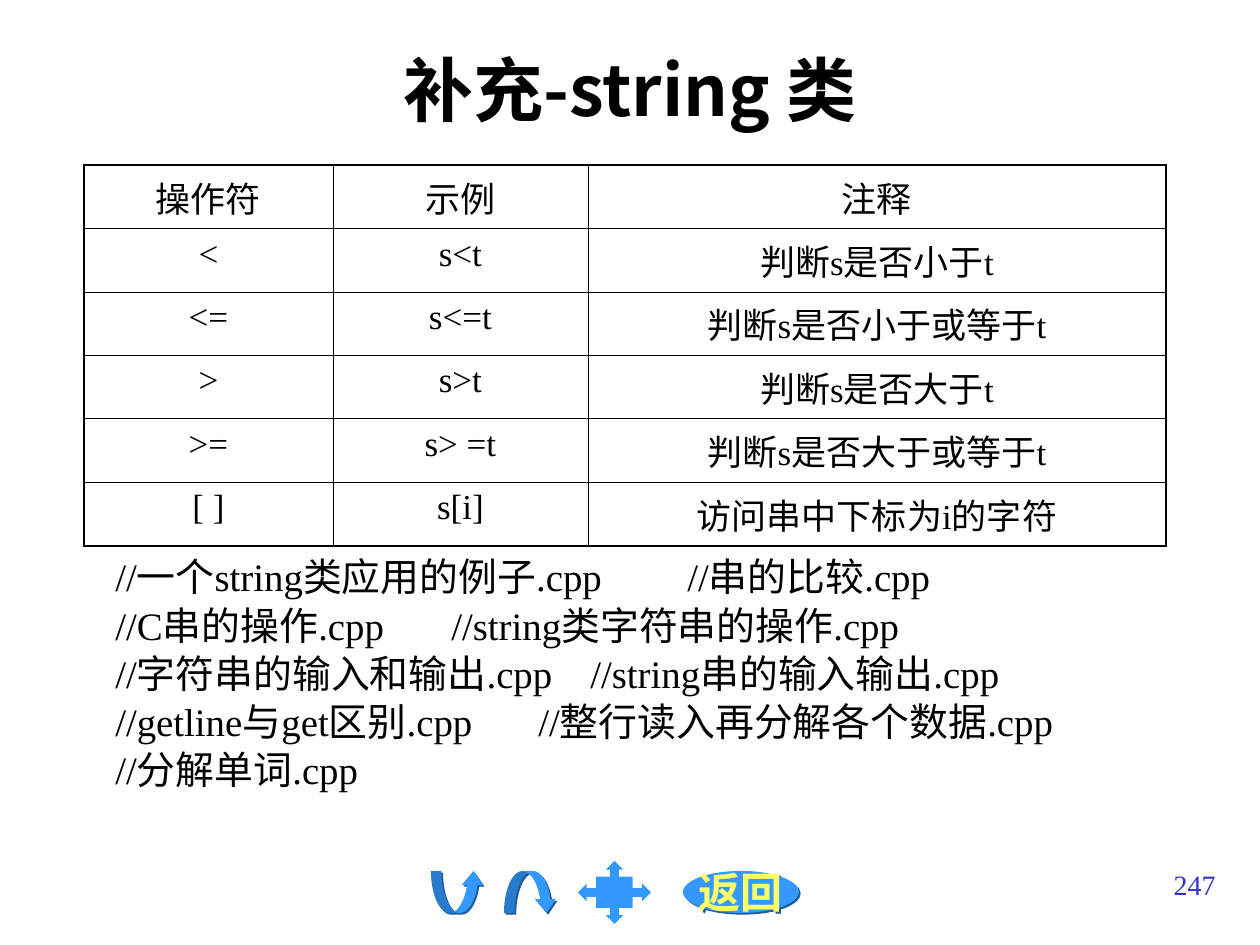
from dataclasses import dataclass

from lxml.etree import SubElement
from pptx import Presentation
from pptx.dml.color import RGBColor
from pptx.enum.shapes import MSO_SHAPE
from pptx.enum.text import MSO_ANCHOR, PP_ALIGN
from pptx.oxml.ns import qn
from pptx.util import Pt


@dataclass(frozen=True)
class Theme:
    ink: str = "000000"
    paper: str = "FFFFFF"
    blue: str = "3399FF"
    shade: str = "1E5B98"
    gold: str = "FFFF66"
    page: str = "3333CC"
    serif: str = "Times New Roman"
    sans: str = "Noto Sans CJK SC"
    head: float = 40
    cell: float = 20
    body: float = 22.2
    nav: float = 24
    foot: float = 16
    thin: float = 0.45
    thick: float = 1.08


LOOK = Theme()
ROWS = [
    ("操作符", "示例", "注释"),
    ("<", "s<t", "判断s是否小于t"),
    ("<=", "s<=t", "判断s是否小于或等于t"),
    (">", "s>t", "判断s是否大于t"),
    (">=", "s> =t", "判断s是否大于或等于t"),
    ("[ ]", "s[i]", "访问串中下标为i的字符"),
]
FILES = [
    ("//一个string类应用的例子.cpp\t//串的比较.cpp", 572),
    ("//C串的操作.cpp\t//string类字符串的操作.cpp", 336),
    ("//字符串的输入和输出.cpp\t//string串的输入输出.cpp", 475),
    ("//getline与get区别.cpp\t//整行读入再分解各个数据.cpp", 423),
    ("//分解单词.cpp", None),
]


def px(num):
    return round(num * 914400 / 126)


def spot(box):
    return [px(num) for num in box]


def tint(text):
    return RGBColor.from_string(text)


def write(frame, *lines, size, color=LOOK.ink, font=LOOK.serif, bold=False,
          align=PP_ALIGN.CENTER, gap=0, lead=None, tabs=(), wrap=True,
          anchor=MSO_ANCHOR.TOP):
    frame.word_wrap = wrap
    frame.vertical_anchor = anchor
    for num, line in enumerate(lines):
        para = frame.add_paragraph() if num else frame.paragraphs[0]
        stop = tabs[num] if tabs else None
        if stop:
            tablist = SubElement(para._p.get_or_add_pPr(), qn("a:tabLst"))
            SubElement(tablist, qn("a:tab"), pos=str(px(stop)), algn="l")
        para.alignment = align
        para.space_before = Pt(gap if num else 0)
        para.line_spacing = lead
        run = para.add_run()
        run.text = line
        run.font.size = Pt(size)
        run.font.bold = bold
        run.font.name = font
        run.font.color.rgb = tint(color)
        SubElement(run._r.get_or_add_rPr(), qn("a:ea"), typeface=LOOK.sans)


def heading(slide, box):
    title = slide.shapes.title
    title.left, title.top, title.width, title.height = spot(box)
    write(title.text_frame, "补充-string 类", size=LOOK.head, font=LOOK.sans,
          bold=True, anchor=MSO_ANCHOR.MIDDLE)


def edge(cell, side, width):
    line = SubElement(cell._tc.get_or_add_tcPr(), qn("a:ln" + side),
                      w=str(Pt(width)))
    fill = SubElement(line, qn("a:solidFill"))
    SubElement(fill, qn("a:srgbClr"), val=LOOK.ink)


def grid(slide, box, wide):
    high, cols = len(ROWS), len(wide)
    table = slide.shapes.add_table(high, cols, *spot(box)).table
    table.first_row = table.horz_banding = False
    for col, width in zip(table.columns, wide):
        col.width = px(width)
    for row, texts in enumerate(ROWS):
        for col, text in enumerate(texts):
            cell = table.cell(row, col)
            write(cell.text_frame, text, size=LOOK.cell)
            outer = {"L": col == 0, "R": col == cols - 1,
                     "T": row == 0, "B": row == high - 1}
            for side, rim in outer.items():
                edge(cell, side, LOOK.thick if rim else LOOK.thin)
            cell.fill.solid()
            cell.fill.fore_color.rgb = tint(LOOK.paper)


def notes(slide, box):
    lines, tabs = zip(*FILES)
    area = slide.shapes.add_textbox(*spot(box))
    write(area.text_frame, *lines, size=LOOK.body, align=PP_ALIGN.JUSTIFY,
          gap=3.6, lead=0.9, tabs=tabs)


def icon(slide, kind, box, adjust=(), shadow=True):
    shape = slide.shapes.add_shape(kind, *spot(box))
    shape.shadow.inherit = False
    shape.fill.solid()
    shape.fill.fore_color.rgb = tint(LOOK.blue)
    shape.line.fill.background()
    for num, part in enumerate(adjust):
        shape.adjustments[num] = part
    if shadow:
        effects = shape._element.spPr.find(qn("a:effectLst"))
        cast = SubElement(effects, qn("a:outerShdw"), dist=str(Pt(1.4)),
                          dir="2700000", algn="ctr", rotWithShape="0")
        SubElement(cast, qn("a:srgbClr"), val=LOOK.shade)
    return shape


def nav(slide, box):
    left, top, width, high = box
    mid, tall = top + 10, high - 21
    bend = (0.25, 0.5, 0.33)
    icon(slide, MSO_SHAPE.CURVED_UP_ARROW, (left, mid, 53, tall), bend)
    icon(slide, MSO_SHAPE.CURVED_DOWN_ARROW, (left + 73, mid, 53, tall), bend)
    back = icon(slide, MSO_SHAPE.OVAL, (left + width - 116, mid, 116, tall))
    write(back.text_frame, "返回", size=LOOK.nav, color=LOOK.gold, bold=True,
          wrap=False, anchor=MSO_ANCHOR.MIDDLE)
    icon(slide, MSO_SHAPE.QUAD_ARROW_CALLOUT, (left + 147, top, 73, high),
         (0.14, 0.14, 0.14, 0.5), shadow=False)


def folio(slide, box):
    area = slide.shapes.add_textbox(*spot(box))
    write(area.text_frame, "247", size=LOOK.foot, color=LOOK.page,
          align=PP_ALIGN.RIGHT)


def main():
    deck = Presentation()
    deck.slide_width, deck.slide_height = px(1260), px(945)
    slide = deck.slides.add_slide(deck.slide_layouts[5])
    nav(slide, (431, 861, 368, 63))
    grid(slide, (84, 165, 1082, 330), (249, 255, 578))
    heading(slide, (94, 26, 1072, 126))
    notes(slide, (103, 552, 1034, 297))
    folio(slide, (966, 861, 262, 63))
    deck.save("out.pptx")


if __name__ == "__main__":
    main()
